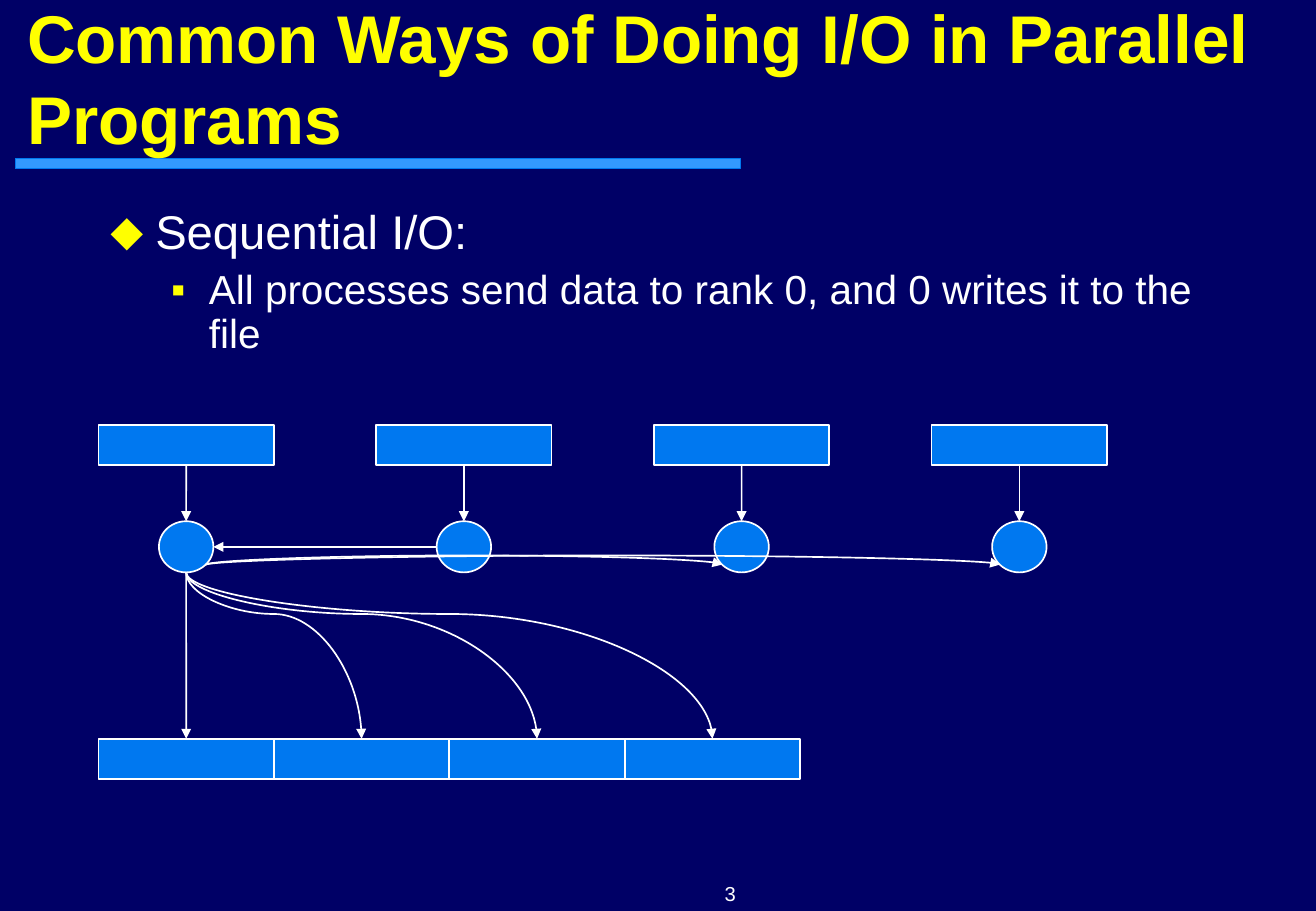
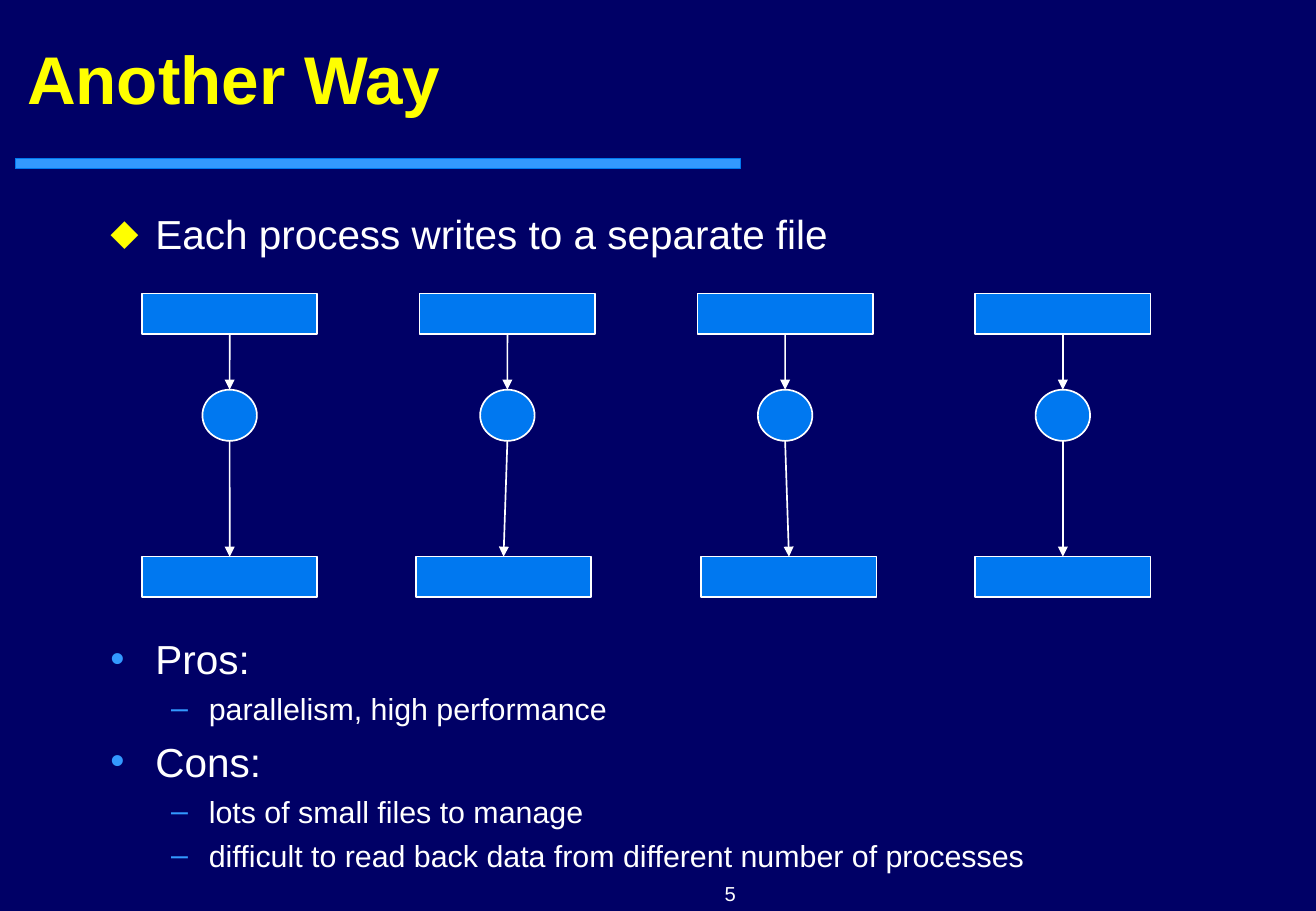
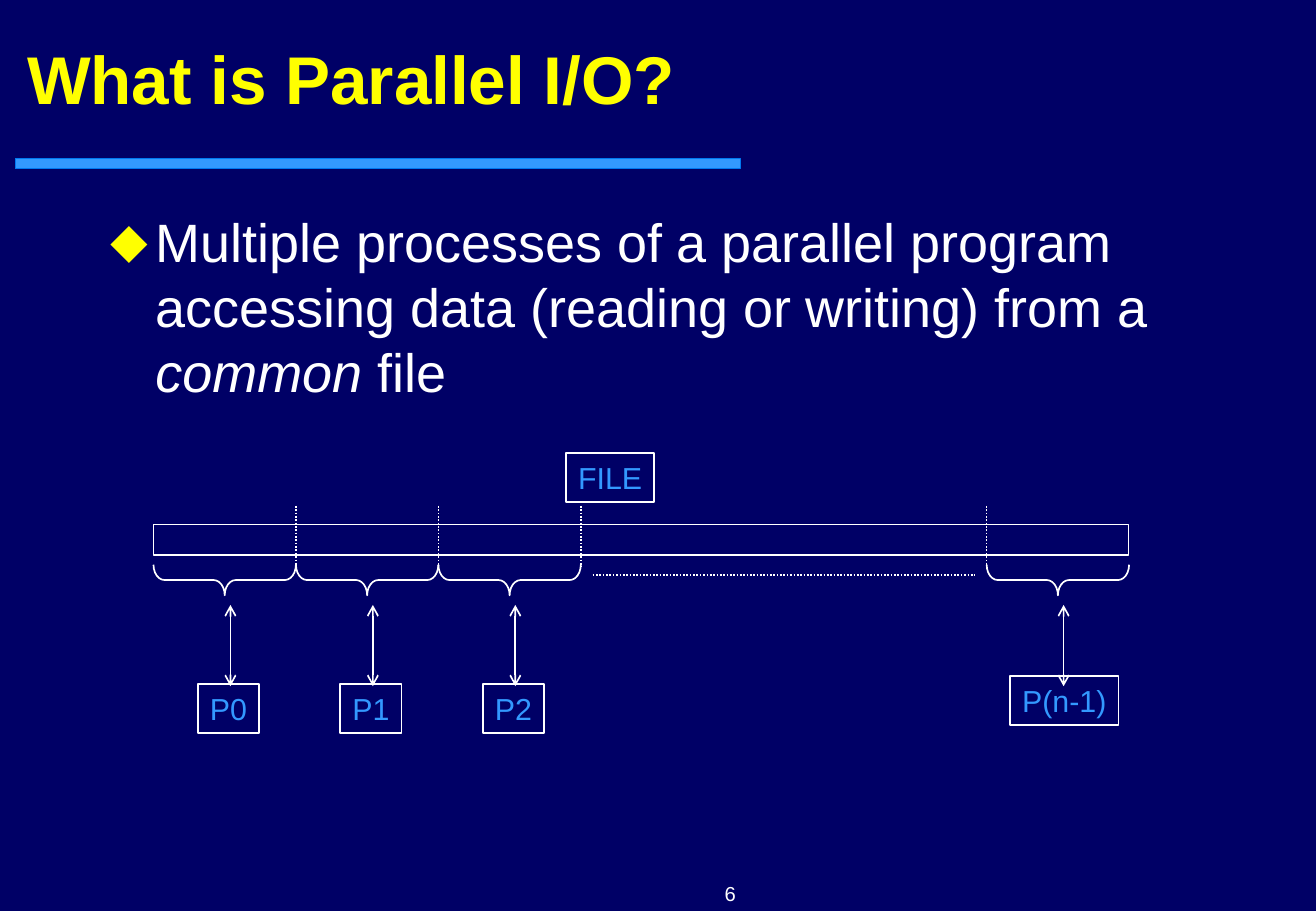
from pptx import Presentation
from pptx.dml.color import RGBColor
from pptx.enum.dml import MSO_LINE_DASH_STYLE as Dash
from pptx.enum.shapes import MSO_CONNECTOR as Link, MSO_SHAPE as Preset
from pptx.enum.text import MSO_ANCHOR as Anchor, PP_ALIGN as Align
from pptx.oxml.ns import qn
from pptx.util import Cm, Pt
from lxml.etree import SubElement

COLORS = {"back": "000066", "title": "FFFF00", "text": "FFFFFF",
          "box": "0078F0", "accent": "3399FF"}
FONT = "Arial"
TOP, LEFT, BOTTOM, RIGHT = range(4)
PITCH, BOX_W, BOX_H = 5.81, 3.67, 0.84
NODE_W, NODE_H = 1.14, 1.07

# (left margin, hanging indent) in cm for each outline level
INDENTS = [(0.94, 0.94), (2.06, 0.79)]


def color(name):
    return RGBColor.from_string(COLORS[name])


def apply(target, values):
    for name, value in values.items():
        setattr(target, name, value)


class Deck:
    def __init__(self):
        self.prs = Presentation()
        apply(self.prs, {"slide_width": Cm(27.53), "slide_height": Cm(19.05)})
        self.slide = None

    def new_slide(self, title, number, top=0.13, height=3.0):
        """Start a slide with the shared background, band, title and number."""
        self.slide = self.prs.slides.add_slide(self.prs.slide_layouts[6])
        fill = self.slide.background.fill
        fill.solid()
        fill.fore_color.rgb = color("back")
        self.shape(Preset.RECTANGLE, 0.32, 3.32, 15.17, 0.21,
                   "accent", "box", 0.75)
        self.text_box(7.26, 18.31, 16.03, 0.58, number, 12, align=Align.CENTER)
        self.text_box(0.32, top, 26.87, height, title, 40, "title",
                      bold=True, anchor=Anchor.MIDDLE)

    def shape(self, preset, left, top, width, height,
              fill="box", outline="text", weight=1):
        item = self.slide.shapes.add_shape(
            preset, Cm(left), Cm(top), Cm(width), Cm(height))
        item.shadow.inherit = False
        if fill:
            item.fill.solid()
            item.fill.fore_color.rgb = color(fill)
        else:
            item.fill.background()
        item.line.color.rgb = color(outline)
        item.line.width = Pt(weight)
        return item

    def run(self, paragraph, text, size, tint="text", bold=False, italic=False):
        run = paragraph.add_run()
        run.text = text
        apply(run.font, {"name": FONT, "size": Pt(size),
                         "bold": bold, "italic": italic})
        run.font.color.rgb = color(tint)

    def text_box(self, left, top, width, height, text="", size=18,
                 tint="text", bold=False, align=Align.LEFT, anchor=Anchor.TOP):
        frame = self.slide.shapes.add_textbox(
            Cm(left), Cm(top), Cm(width), Cm(height)).text_frame
        apply(frame, {"word_wrap": True, "vertical_anchor": anchor})
        if text:
            frame.paragraphs[0].alignment = align
            self.run(frame.paragraphs[0], text, size, tint, bold)
        return frame

    def outline(self, left, top, width, height, items, spacing=None):
        """Bulleted text; an item is (level, bullet, tint, size, before, text).

        Parts of a text between asterisks are italic.
        """
        frame = self.text_box(left, top, width, height)
        for i, (level, bullet, tint, size, before, text) in enumerate(items):
            paragraph = frame.add_paragraph() if i else frame.paragraphs[0]
            apply(paragraph, {"level": level, "space_before": Pt(before),
                              "line_spacing": spacing})
            margin, hang = INDENTS[level]
            props = paragraph._p.get_or_add_pPr()
            props.set("marL", str(Cm(margin)))
            props.set("indent", str(-Cm(hang)))
            tint_node = SubElement(props, qn("a:buClr"))
            SubElement(tint_node, qn("a:srgbClr"), val=COLORS[tint])
            SubElement(props, qn("a:buFont"), typeface=FONT)
            SubElement(props, qn("a:buChar"), char=bullet)
            for part, words in enumerate(text.split("*")):
                self.run(paragraph, words, size, italic=part % 2 == 1)

    def label(self, left, top, width, text):
        frame = self.shape(Preset.RECTANGLE, left, top, width, 1.02,
                           fill=None).text_frame
        apply(frame, {"word_wrap": False, "vertical_anchor": Anchor.MIDDLE})
        frame.paragraphs[0].alignment = Align.CENTER
        self.run(frame.paragraphs[0], text, 18, "accent")

    def line(self, x1=0, y1=0, x2=0, y2=0, kind=Link.STRAIGHT,
             dash=None, head=None, tail=None):
        link = self.slide.shapes.add_connector(
            kind, Cm(x1), Cm(y1), Cm(x2), Cm(y2))
        link.line.color.rgb = color("text")
        apply(link.line, {"width": Pt(1), "dash_style": dash})
        props = link._element.spPr
        for tag, arrow in (("a:headEnd", head), ("a:tailEnd", tail)):
            if arrow:
                SubElement(props.get_or_add_ln(), qn(tag), type=arrow)
        SubElement(props, qn("a:effectLst"))
        return link

    def join(self, source, source_side, target, target_side, kind=Link.STRAIGHT):
        """Arrow between sides; an ellipse has twice as many sites as a box."""
        link = self.line(kind=kind, tail="triangle")
        link.begin_connect(source, source_side)
        link.end_connect(target, target_side)
        ends = link._element.nvCxnSpPr.cNvCxnSpPr
        for end, item, side in ((ends.stCxn, source, source_side),
                                (ends.endCxn, target, target_side)):
            if item.auto_shape_type == Preset.OVAL:
                end.idx = side * 2
        return link

    def bend(self, link, start, end, ratio, down):
        """Turn a curved arrow so that it leaves its start vertically."""
        (x1, y1), (x2, y2) = start, end
        span, rise = x2 - x1, max(y2 - y1, Cm(0.01))
        apply(link, {"left": int((x1 + x2 - rise) / 2),
                     "top": int((y1 + y2 - span) / 2),
                     "width": int(rise), "height": int(span)})
        apply(link._element.spPr.find(qn("a:xfrm")),
              {"rot": 270.0, "flipH": down, "flipV": False})
        guides = link._element.spPr.find(qn("a:prstGeom")).find(qn("a:avLst"))
        SubElement(guides, qn("a:gd"), name="adj1",
                   fmla=f"val {round(ratio * 100000)}")

    def drop(self, node, block):
        """Curved arrow from the bottom of a node to the top of a block."""
        link = self.join(node, BOTTOM, block, TOP, Link.CURVE)
        self.bend(link, (node.left + node.width // 2, node.top + node.height),
                  (block.left + block.width // 2, block.top), 0.25, True)

    def arch(self, source, target):
        """Curved arrow between the facing lower corners of two nodes."""
        link = self.join(source, BOTTOM, target, BOTTOM, Link.CURVE)
        ends = link._element.nvCxnSpPr.cNvCxnSpPr
        ends.stCxn.idx, ends.endCxn.idx = 5, 3
        y = source.top + int(source.height * 0.85)
        self.bend(link, (source.left + int(source.width * 0.85), y),
                  (target.left + int(target.width * 0.15), y), 20, False)

    def box_row(self, lefts, top):
        return [self.shape(Preset.RECTANGLE, left, top, BOX_W, BOX_H)
                for left in lefts]

    def processes(self, lefts, top):
        """Row of data boxes, each with an arrow to its process node."""
        nodes = []
        for left, data in zip(lefts, self.box_row(lefts, top)):
            node = self.shape(Preset.OVAL, left + (BOX_W - NODE_W) / 2,
                              top + 2.01, NODE_W, NODE_H)
            self.join(data, BOTTOM, node, TOP)
            nodes.append(node)
        return nodes


def sequential_slide(deck):
    deck.new_slide("Common Ways of Doing I/O in Parallel Programs", "3",
                   -0.2, 3.63)
    deck.outline(2.06, 4.24, 23.39, 3.35, [
        (0, "⬥", "title", 28, 7, "Sequential I/O:"),
        (1, "▪", "title", 24, 6,
         "All processes send data to rank 0, and 0 writes it to the file"),
    ], spacing=0.9)
    left = 2.06
    root, second, *others = deck.processes(
        [left + i * PITCH for i in range(4)], 8.89)
    first_block, *blocks = deck.box_row(
        [left + i * BOX_W for i in range(4)], 15.45)
    deck.join(second, LEFT, root, RIGHT)
    for other in others:
        deck.arch(root, other)
    for block in blocks:
        deck.drop(root, block)
    deck.join(root, BOTTOM, first_block, TOP)


def separate_files_slide(deck):
    deck.new_slide("Another Way", "5")
    deck.outline(2.06, 4.24, 23.39, 2.54, [
        (0, "⬥", "title", 24, 6, "Each process writes to a separate file")])
    lefts = [2.97 + i * PITCH for i in range(4)]
    nodes = deck.processes(lefts, 6.14)
    nudges = (0, -0.08, 0.08, 0)
    files = deck.box_row([x + dx for x, dx in zip(lefts, nudges)], 11.64)
    for node, file_box in zip(nodes, files):
        deck.join(node, BOTTOM, file_box, TOP)
    point = (0, "•", "accent", 24, 6)
    detail = (1, "–", "accent", 18, 4.5)
    deck.outline(2.06, 13.13, 23.98, 5.28, [
        (*point, "Pros:"),
        (*detail, "parallelism, high performance"),
        (*point, "Cons:"),
        (*detail, "lots of small files to manage"),
        (*detail, "difficult to read back data from different number "
                  "of processes"),
    ])


def parallel_slide(deck):
    deck.new_slide("What is Parallel I/O?", "6")
    deck.outline(2.06, 4.24, 23.39, 5.51, [
        (0, "⬥", "title", 32, 8,
         "Multiple processes of a parallel program accessing data "
         "(reading or writing) from a *common* file")])
    start, part, depth, last = 3.21, 2.98, 0.64, 20.64
    deck.shape(Preset.RECTANGLE, start, 10.97, 20.4, 0.64, fill=None)
    deck.label(11.84, 9.48, 1.85, "FILE")
    # part left, label left, label top, label width, label, boundary
    parts = [(start + i * part, 4.14 + i * part, 14.31, 1.28, f"P{i}",
              start + (i + 1) * part) for i in range(3)]
    parts.append((last, 21.13, 14.14, 2.27, "P(n-1)", last))
    for left, label_left, label_top, width, name, boundary in parts:
        brace = deck.shape(Preset.RIGHT_BRACE, left + (part - depth) / 2,
                           11.81 - (part - depth) / 2, depth, part, fill=None)
        brace.rotation = 90
        brace.adjustments[0] = 0.36
        deck.label(label_left, label_top, width, name)
        access = left + 1.61
        deck.line(access, 12.65, access, 14.35, head="arrow", tail="arrow")
        deck.line(boundary, 10.58, boundary, 11.85, dash=Dash.ROUND_DOT)
    deck.line(12.4, 12.02, 20.4, 12.02, dash=Dash.ROUND_DOT)


def main():
    deck = Deck()
    sequential_slide(deck)
    separate_files_slide(deck)
    parallel_slide(deck)
    deck.prs.save("out.pptx")


if __name__ == "__main__":
    main()
